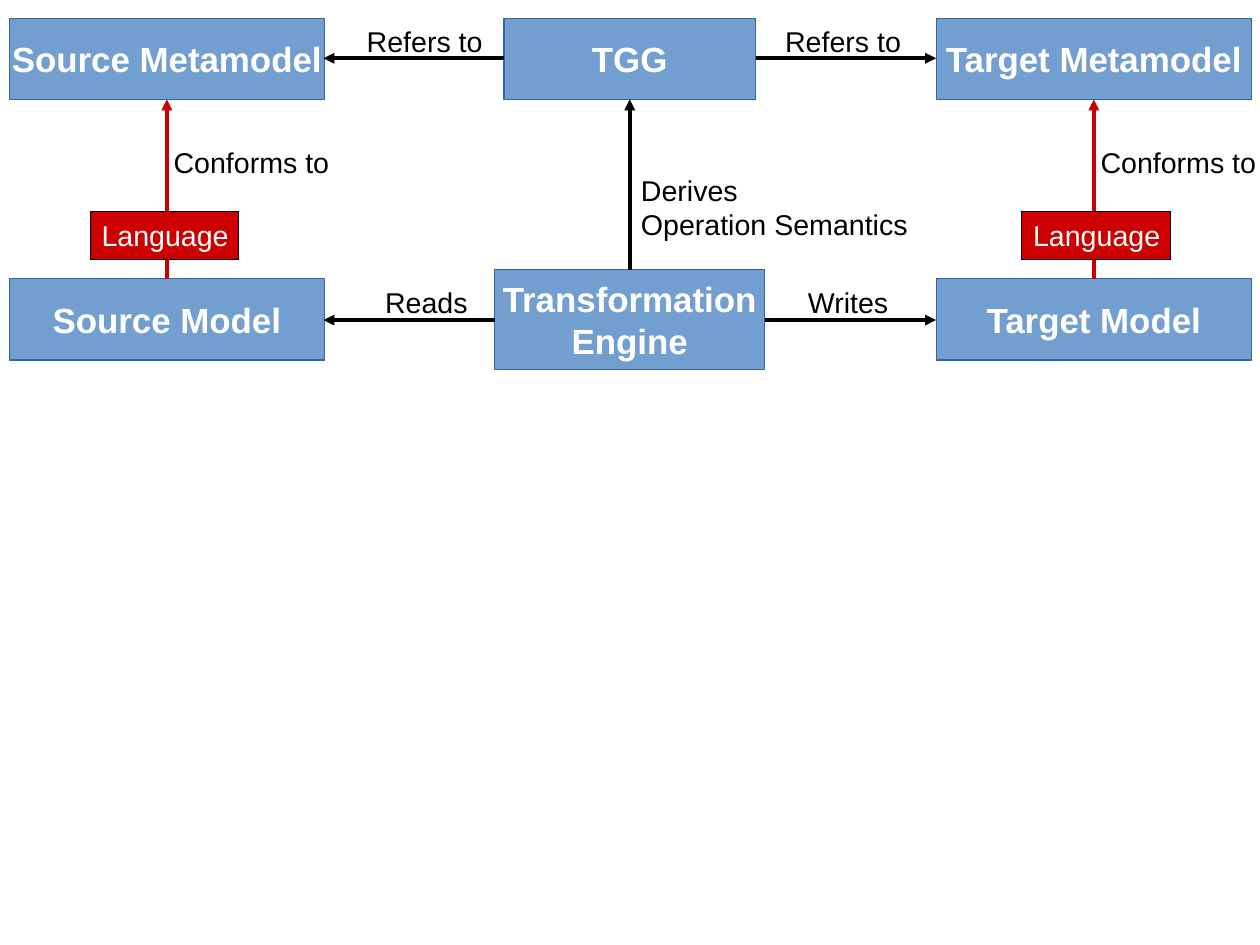
"""Builds a slide on a triple graph grammar (TGG) linking source and target models."""
from lxml.etree import SubElement
from pptx import Presentation
from pptx.dml.color import RGBColor
from pptx.enum.shapes import MSO_CONNECTOR, MSO_SHAPE
from pptx.enum.text import MSO_ANCHOR, MSO_AUTO_SIZE, PP_ALIGN
from pptx.oxml.ns import qn
from pptx.util import Inches, Pt

BLUE = RGBColor(0x72, 0x9F, 0xCF)
BLUE_EDGE = RGBColor(0x34, 0x65, 0xA4)
RED = RGBColor(0xCC, 0x00, 0x00)
BLACK = RGBColor(0x00, 0x00, 0x00)
WHITE = RGBColor(0xFF, 0xFF, 0xFF)

CM_PER_INCH = 2.54
LEFT_X, RIGHT_X = 0.08, 8.19
TOP_Y, MODEL_Y = 0.16, 2.44
SIDE_W, BOX_H = 2.76, 0.71

prs = Presentation()
prs.slide_width = Inches(28 / CM_PER_INCH)
prs.slide_height = Inches(21 / CM_PER_INCH)
s = prs.slides.add_slide(prs.slide_layouts[6])


def write(tf, text, size, color, bold=False, align=PP_ALIGN.LEFT):
    for i, line in enumerate(text.split("\n")):
        p = tf.paragraphs[0] if i == 0 else tf.add_paragraph()
        p.text = line
        p.alignment = align
        p.font.name = "Arial"
        p.font.size = Pt(size)
        p.font.bold = bold
        p.font.color.rgb = color


def add_box(text, x, y, w, h, fill, edge, size, bold, align):
    sp = s.shapes.add_shape(MSO_SHAPE.RECTANGLE, Inches(x), Inches(y), Inches(w), Inches(h))
    sp.shadow.inherit = False
    sp.fill.solid()
    sp.fill.fore_color.rgb = fill
    sp.line.color.rgb = edge
    sp.line.width = Pt(0)
    sp.text_frame.word_wrap = False
    sp.text_frame.vertical_anchor = MSO_ANCHOR.MIDDLE
    write(sp.text_frame, text, size, WHITE, bold, align)


for text, x, y, w, h in [
    ("TGG", 4.41, TOP_Y, 2.2, BOX_H),
    ("Source Metamodel", LEFT_X, TOP_Y, SIDE_W, BOX_H),
    ("Target Metamodel", RIGHT_X, TOP_Y, SIDE_W, BOX_H),
    ("Transformation\nEngine", 4.33, 2.36, 2.36, 0.87),
    ("Target Model", RIGHT_X, MODEL_Y, SIDE_W, BOX_H),
    ("Source Model", LEFT_X, MODEL_Y, SIDE_W, BOX_H),
]:
    add_box(text, x, y, w, h, BLUE, BLUE_EDGE, 22, True, PP_ALIGN.CENTER)

for x1, y1, x2, y2, color in [
    (4.41, 0.51, 2.83, 0.51, BLACK),
    (6.61, 0.51, 8.19, 0.51, BLACK),
    (5.51, 2.36, 5.51, 0.87, BLACK),
    (1.46, 2.44, 1.46, 0.87, RED),
    (9.57, 2.44, 9.57, 0.87, RED),
    (4.33, 2.8, 2.83, 2.8, BLACK),
    (6.69, 2.8, 8.19, 2.8, BLACK),
]:
    arrow = s.shapes.add_connector(
        MSO_CONNECTOR.STRAIGHT, Inches(x1), Inches(y1), Inches(x2), Inches(y2))
    arrow.line.color.rgb = color
    arrow.line.width = Pt(2.3)
    props = arrow._element.spPr
    SubElement(props.find(qn("a:ln")), qn("a:tailEnd"), type="triangle")
    SubElement(props, qn("a:effectLst"))

for x in (0.79, 8.94):
    add_box("Language", x, 1.85, 1.3, 0.42, RED, BLACK, 18, False, PP_ALIGN.LEFT)

for text, x, y, w, h in [
    ("Refers to", 3.11, TOP_Y, 1.25, 0.38),
    ("Refers to", 6.77, TOP_Y, 1.25, 0.38),
    ("Derives\nOperation Semantics", 5.51, 1.46, 2.6, 0.66),
    ("Reads", 3.27, MODEL_Y, 0.95, 0.38),
    ("Writes", 6.97, MODEL_Y, 0.95, 0.38),
    ("Conforms to", 1.42, 1.22, 1.58, 0.38),
    ("Conforms to", 9.53, 1.22, 1.58, 0.38),
]:
    label = s.shapes.add_textbox(Inches(x), Inches(y), Inches(w), Inches(h))
    tf = label.text_frame
    tf.word_wrap = True
    tf.auto_size = MSO_AUTO_SIZE.SHAPE_TO_FIT_TEXT
    write(tf, text, 18, BLACK)

prs.save("out.pptx")
